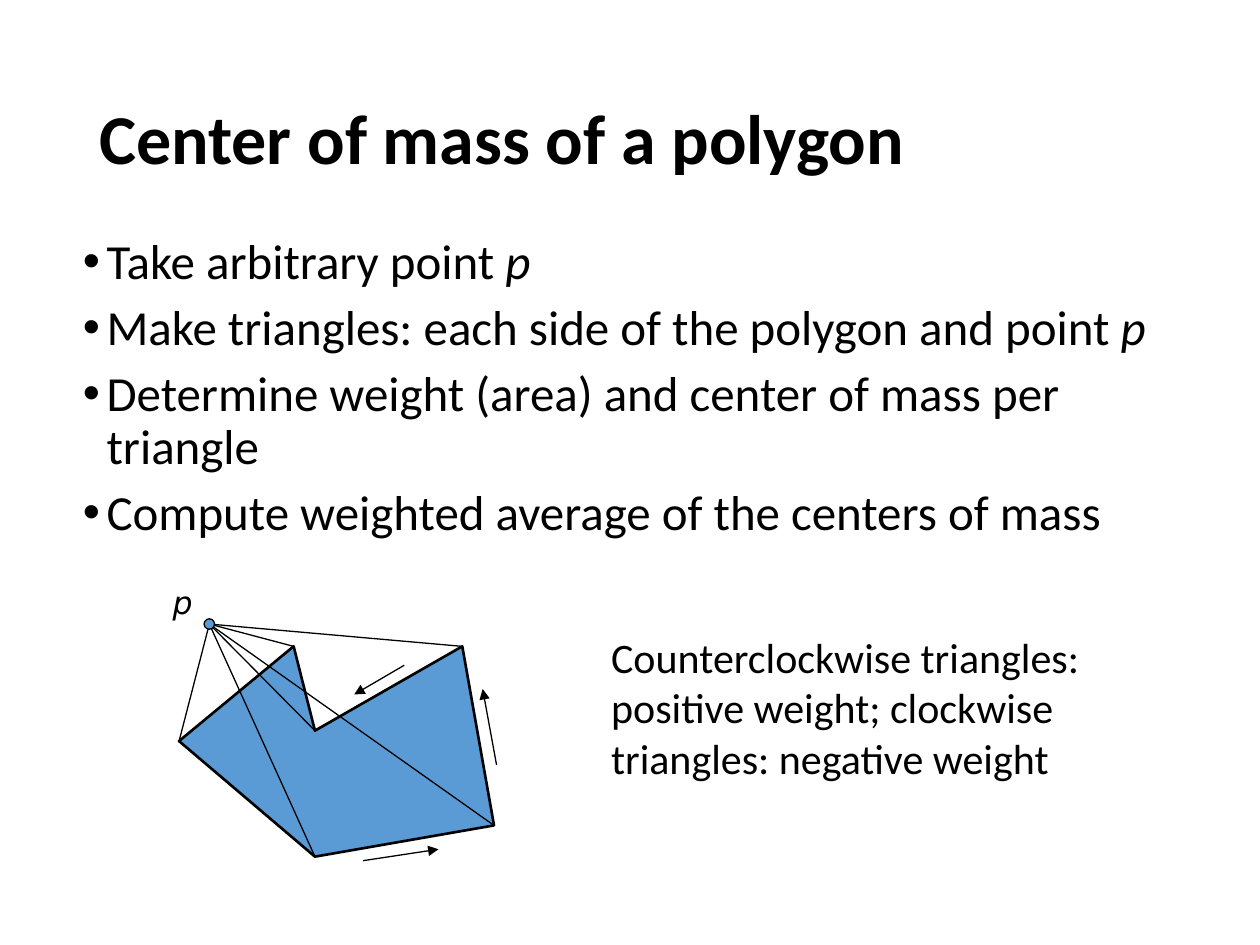
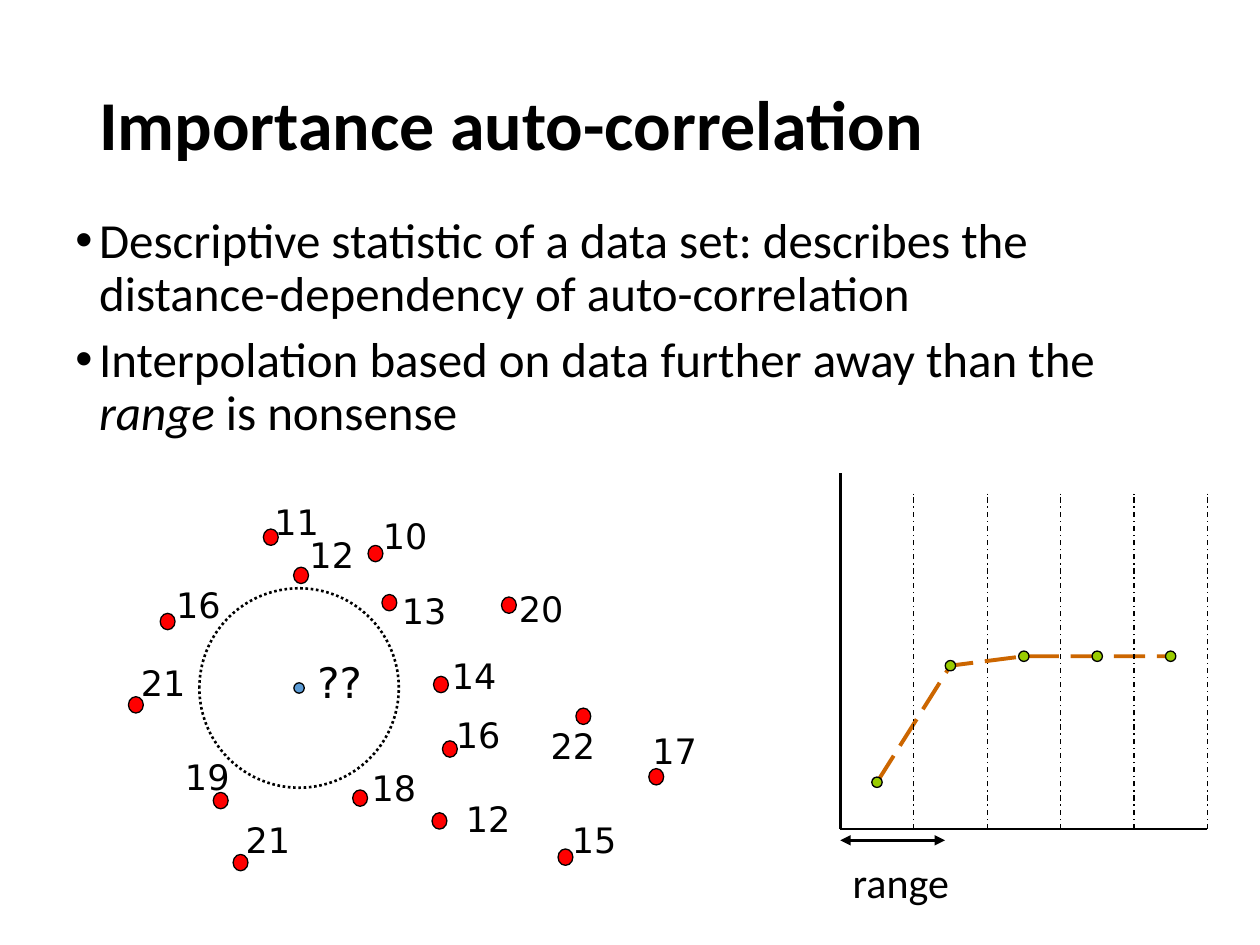
"""Builds two slides on the polygon center of mass and on auto-correlation."""
import lxml.etree
import pptx
import pptx.dml.color
import pptx.enum.dml
import pptx.enum.shapes
import pptx.enum.text
import pptx.oxml.ns
import pptx.util

Cm, Pt = pptx.util.Cm, pptx.util.Pt
qn = pptx.oxml.ns.qn
DASH = pptx.enum.dml.MSO_LINE
COLORS = {"ink": "000000", "polygon": "5B9BD5", "sample": "FF0000",
          "curve": "CC6600", "bin": "99CC00"}

TITLE = {"size": 40, "bold": True, "middle": True, "grow": False, "line_spacing": 0.9}
BULLETS = {"size": 28, "bullet": True, "grow": False, "line_spacing": 0.9}
NOTE = {"size": 24}
LABEL = {"font": "DejaVu Sans", "wrap": False}
TITLE_LEFT, TITLE_SIZE = 1.75, (21.9, 3.68)
SMALL_DOT, SAMPLE_DOT, SAMPLE_LABEL = (0.21, 0.21), (0.3, 0.33), (1.42, 1.09)

# Each paragraph alternates upright and italic parts.
MASS = {
    "title": "Center of mass of a polygon",
    "title_top": 1.02,
    "body_box": (1.42, 4.65, 23.06, 6.15),
    "body": [
        ("Take arbitrary point ", "p"),
        ("Make triangles: each side of the polygon and point ", "p"),
        ("Determine weight (area) and center of mass per triangle",),
        ("Compute weighted average of the centers of mass",),
    ],
}
WEIGHT_NOTE = [("Counterclockwise triangles:",),
               ("positive weight; clockwise triangles: negative weight",)]
POINT_P = (4.22, 12.58)
CORNERS = [(3.61, 14.94), (5.92, 13.03), (6.35, 14.73),
           (9.32, 13.03), (9.96, 16.64), (6.35, 17.27)]
TURN_ARROWS = [((7.32, 17.35), (8.84, 17.12)),
               ((10.01, 15.42), (9.73, 13.89)),
               ((8.15, 13.41), (7.14, 14.0))]

RANGE = {
    "title": "Importance auto-correlation",
    "title_top": 0.74,
    "body_box": (1.27, 4.24, 22.86, 4.65),
    "body": [
        ("Descriptive statistic of a data set: describes the "
         "distance-dependency of auto-correlation",),
        ("Interpolation based on data further away than the ", "range", " is nonsense"),
    ],
}
SAMPLES = [
    ("20", (10.21, 11.71), (10.26, 12.2)),
    ("14", (8.86, 13.06), (8.89, 13.8)),
    ("13", (7.85, 11.76), (7.85, 12.15)),
    ("10", (7.47, 10.24), (7.57, 11.16)),
    ("12", (5.99, 10.64), (6.07, 11.6)),
    ("11", (5.28, 9.96), (5.46, 10.83)),
    ("16", (8.94, 14.25), (9.07, 15.1)),
    ("18", (7.24, 15.32), (7.26, 16.09)),
    ("21", (4.7, 16.38), (4.85, 17.39)),
    ("15", (11.28, 16.38), (11.4, 17.28)),
    ("17", (12.9, 14.58), (13.23, 15.66)),
    ("16", (3.3, 11.63), (3.38, 12.53)),
    ("22", (10.85, 14.48), (11.76, 14.44)),
    ("21", (2.59, 13.21), (2.74, 14.21)),
    ("19", (3.48, 15.11), (4.45, 16.14)),
    ("12", (9.14, 15.95), (8.86, 16.55)),
]
UNKNOWN, RANGE_CIRCLE = (6.03, 13.87), (4.02, 4.02)
AXIS_LEFT, AXIS_TOP, AXIS_BOTTOM = 16.94, 9.53, 16.71
BIN_TOP, BIN_WIDTH = 9.95, 1.48
BIN_MEAN_TOPS = [15.77, 13.42, 13.23, 13.23, 13.23]
RANGE_LENGTH, RANGE_ARROW_TOP = 2.11, 16.94


def rgb(name):
    return pptx.dml.color.RGBColor.from_string(COLORS[name])


def add_bullet(paragraph):
    paragraph.space_before = Pt(7.5)
    props = paragraph._p.get_or_add_pPr()
    props.set("marL", str(Cm(0.48)))
    props.set("indent", str(-Cm(0.48)))
    lxml.etree.SubElement(props, qn("a:buFont"), typeface="Arial")
    lxml.etree.SubElement(props, qn("a:buChar"), char="•")


def write_text(slide, box, paragraphs, size=20, font="Calibri", bold=False, wrap=True,
               grow=True, middle=False, line_spacing=None, bullet=False):
    frame = slide.shapes.add_textbox(*map(Cm, box)).text_frame
    frame.word_wrap = wrap
    if grow:
        frame.auto_size = pptx.enum.text.MSO_AUTO_SIZE.SHAPE_TO_FIT_TEXT
    if middle:
        frame.vertical_anchor = pptx.enum.text.MSO_ANCHOR.MIDDLE
    for number, parts in enumerate(paragraphs):
        paragraph = frame.add_paragraph() if number else frame.paragraphs[0]
        if line_spacing:
            paragraph.line_spacing = line_spacing
        if bullet:
            add_bullet(paragraph)
        for position, part in enumerate(parts):
            if part:
                run = paragraph.add_run()
                run.text = part
                run.font.size, run.font.name = Pt(size), font
                run.font.bold, run.font.italic = bold, position % 2 == 1
                run.font.color.rgb = rgb("ink")


def style_line(line, color="ink", weight=0.75, dash=None):
    line.color.rgb = rgb(color)
    line.width = Pt(weight)
    if dash:
        line.dash_style = dash


def style_shape(shape, fill=None, **line_format):
    shape.shadow.inherit = False
    if fill:
        shape.fill.solid()
        shape.fill.fore_color.rgb = rgb(fill)
    else:
        shape.fill.background()
    style_line(shape.line, **line_format)


def draw_line(slide, start, end, arrows=(), **line_format):
    connector = slide.shapes.add_connector(
        pptx.enum.shapes.MSO_CONNECTOR.STRAIGHT, *map(Cm, (*start, *end)))
    style_line(connector.line, **line_format)
    for arrow in arrows:
        lxml.etree.SubElement(connector.line._get_or_add_ln(), qn(arrow), type="triangle")
    lxml.etree.SubElement(connector._element.spPr, qn("a:effectLst"))


def draw_oval(slide, center, size, **shape_format):
    corner = [middle - length / 2 for middle, length in zip(center, size)]
    oval = slide.shapes.add_shape(
        pptx.enum.shapes.MSO_SHAPE.OVAL, *map(Cm, (*corner, *size)))
    style_shape(oval, **shape_format)


def draw_outline(slide, points, close, **shape_format):
    start, *rest = [tuple(map(Cm, point)) for point in points]
    builder = slide.shapes.build_freeform(*start)
    builder.add_line_segments(rest, close=close)
    style_shape(builder.convert_to_shape(), **shape_format)


def start_slide(deck, content):
    slide = deck.slides.add_slide(deck.slide_layouts[6])
    title_box = (TITLE_LEFT, content["title_top"], *TITLE_SIZE)
    write_text(slide, title_box, [(content["title"],)], **TITLE)
    write_text(slide, content["body_box"], content["body"], **BULLETS)
    return slide


def draw_triangles(slide):
    draw_outline(slide, CORNERS, close=True, fill="polygon", weight=1.5)
    for corner in CORNERS:
        draw_line(slide, POINT_P, corner)
    draw_oval(slide, POINT_P, SMALL_DOT, fill="polygon")
    for start, end in TURN_ARROWS:
        draw_line(slide, start, end, arrows=["a:tailEnd"])
    write_text(slide, (3.23, 11.63, 1.04, 1.27), [("", "p")], size=18, **LABEL)


def draw_samples(slide):
    for value, label_corner, center in SAMPLES:
        write_text(slide, (*label_corner, *SAMPLE_LABEL), [(value,)], **LABEL)
        draw_oval(slide, center, SAMPLE_DOT, fill="sample")
    draw_oval(slide, UNKNOWN, SMALL_DOT, fill="polygon")
    write_text(slide, (6.15, 13.11, 1.45, 1.27), [("??",)], size=24, **LABEL)
    draw_oval(slide, UNKNOWN, RANGE_CIRCLE, weight=1.5, dash=DASH.ROUND_DOT)


def draw_variogram(slide):
    origin = (AXIS_LEFT, AXIS_BOTTOM)
    bin_edges = [AXIS_LEFT + number * BIN_WIDTH
                 for number in range(1, len(BIN_MEAN_TOPS) + 1)]
    bin_means = [(edge - BIN_WIDTH / 2, top)
                 for edge, top in zip(bin_edges, BIN_MEAN_TOPS)]

    draw_outline(slide, bin_means, close=False, color="curve", weight=2.25,
                 dash=DASH.LONG_DASH)
    for axis_end in [(AXIS_LEFT, AXIS_TOP), (bin_edges[-1], AXIS_BOTTOM)]:
        draw_line(slide, origin, axis_end, weight=1.5)
    for edge in bin_edges:
        draw_line(slide, (edge, AXIS_BOTTOM), (edge, BIN_TOP), dash=DASH.DASH_DOT)
    for mean in bin_means:
        draw_oval(slide, mean, SMALL_DOT, fill="bin")

    draw_line(slide, (AXIS_LEFT, RANGE_ARROW_TOP),
              (AXIS_LEFT + RANGE_LENGTH, RANGE_ARROW_TOP),
              arrows=["a:headEnd", "a:tailEnd"], weight=1.5)
    write_text(slide, (AXIS_LEFT, 17.15, 2.46, 1.27), [("range",)], wrap=False, **NOTE)


def main():
    deck = pptx.Presentation()
    deck.slide_width, deck.slide_height = Cm(25.4), Cm(19.05)

    mass_slide = start_slide(deck, MASS)
    draw_triangles(mass_slide)
    write_text(mass_slide, (12.07, 12.6, 12.5, 3.33), WEIGHT_NOTE, **NOTE)

    range_slide = start_slide(deck, RANGE)
    draw_samples(range_slide)
    draw_variogram(range_slide)

    deck.save("out.pptx")


if __name__ == "__main__":
    main()
